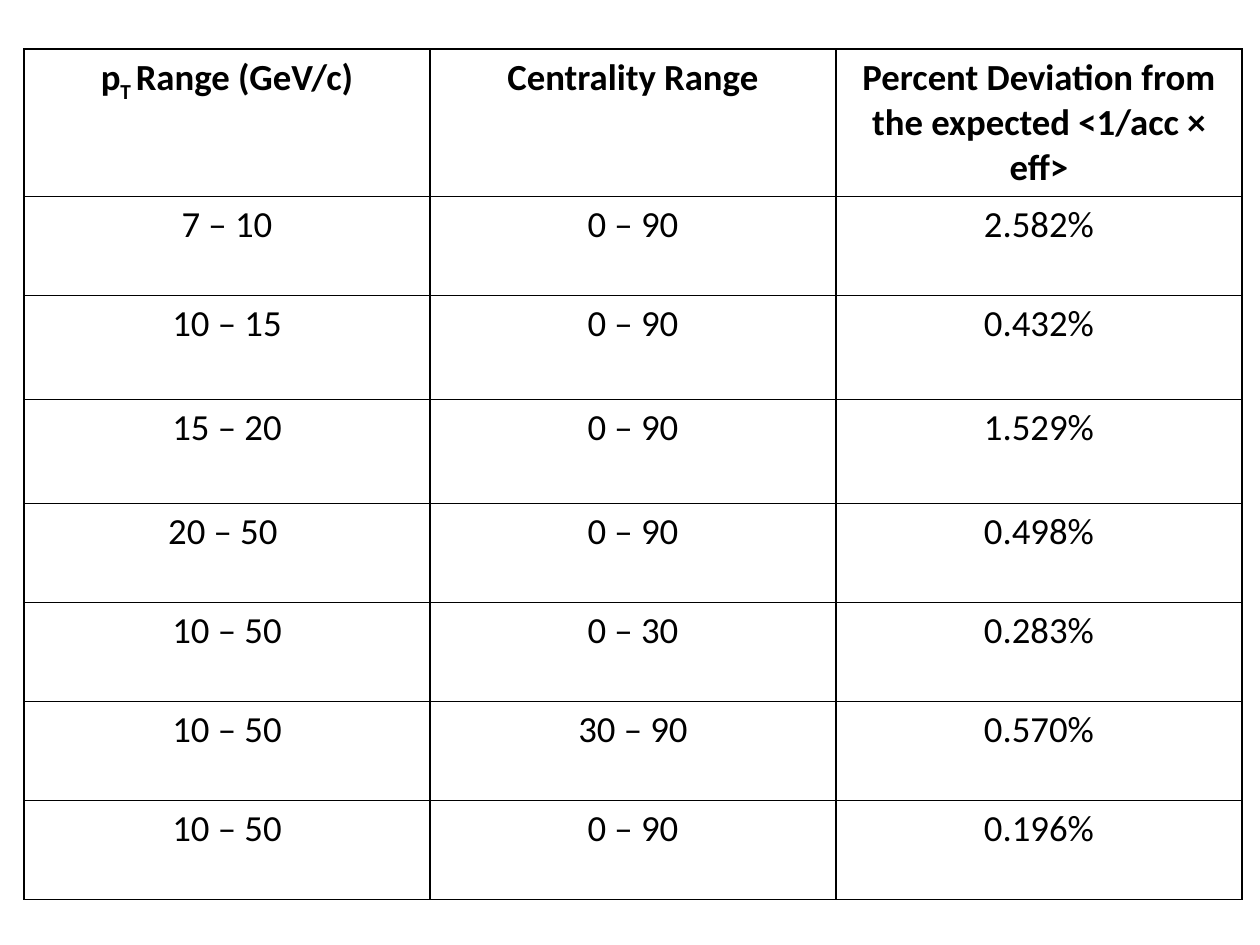
from lxml.etree import SubElement
from pptx import Presentation
from pptx.dml.color import RGBColor
from pptx.enum.text import PP_ALIGN
from pptx.oxml.ns import qn
from pptx.util import Pt

SCALE = 914400 / 126
HEADINGS = ["p", "Centrality Range",
            "Percent Deviation from the expected <1/acc × eff>"]
RESULTS = [
    ["7 – 10", "0 – 90", "2.582%"],
    ["10 – 15", "0 – 90", "0.432%"],
    ["15 – 20", "0 – 90", "1.529%"],
    ["20 – 50 ", "0 – 90", "0.498%"],
    ["10 – 50", "0 – 30", "0.283%"],
    ["10 – 50", "30 – 90", "0.570%"],
    ["10 – 50", "0 – 90", "0.196%"],
]
ROW_HEIGHTS = [147, 99, 104, 104, 99, 99, 99, 99]


def px(length):
    return round(length * SCALE)


def color(value):
    return RGBColor.from_string(value)


def add_borders(cell):
    properties = cell._tc.get_or_add_tcPr()
    for position, side in enumerate(("lnL", "lnR", "lnT", "lnB")):
        line = properties.makeelement(qn(f"a:{side}"), {"w": str(Pt(1))})
        fill = SubElement(line, qn("a:solidFill"))
        SubElement(fill, qn("a:srgbClr"), val="000000")
        properties.insert(position, line)


def format_text(para, bold):
    para.alignment = PP_ALIGN.CENTER
    for span in para.runs:
        span.font.name = "Calibri"
        span.font.size = Pt(21)
        span.font.bold = bold
        span.font.color.rgb = color("000000")


def add_momentum_heading(para):
    subscript = para.add_run()
    subscript.text = "T "
    subscript.font._element.set("baseline", "-25000")
    para.add_run().text = "Range (GeV/c)"


def deviation_table(page, left, top, width):
    rows = [HEADINGS] + RESULTS
    frame = page.shapes.add_table(len(rows), len(HEADINGS), px(left), px(top),
                                  px(width), px(sum(ROW_HEIGHTS)))
    table = frame.table
    table.first_row = False
    table.horz_banding = False
    for row, height in zip(table.rows, ROW_HEIGHTS):
        row.height = px(height)
    for row_index, values in enumerate(rows):
        for column_index, value in enumerate(values):
            cell = table.cell(row_index, column_index)
            cell.fill.background()
            add_borders(cell)
            para = cell.text_frame.paragraphs[0]
            para.text = value
            if row_index == column_index == 0:
                add_momentum_heading(para)
            format_text(para, row_index == 0)


deck = Presentation()
deck.slide_width = px(1260)
deck.slide_height = px(945)
page = deck.slides.add_slide(deck.slide_layouts[6])
deviation_table(page, 24, 49, 1218)
deck.save("out.pptx")
